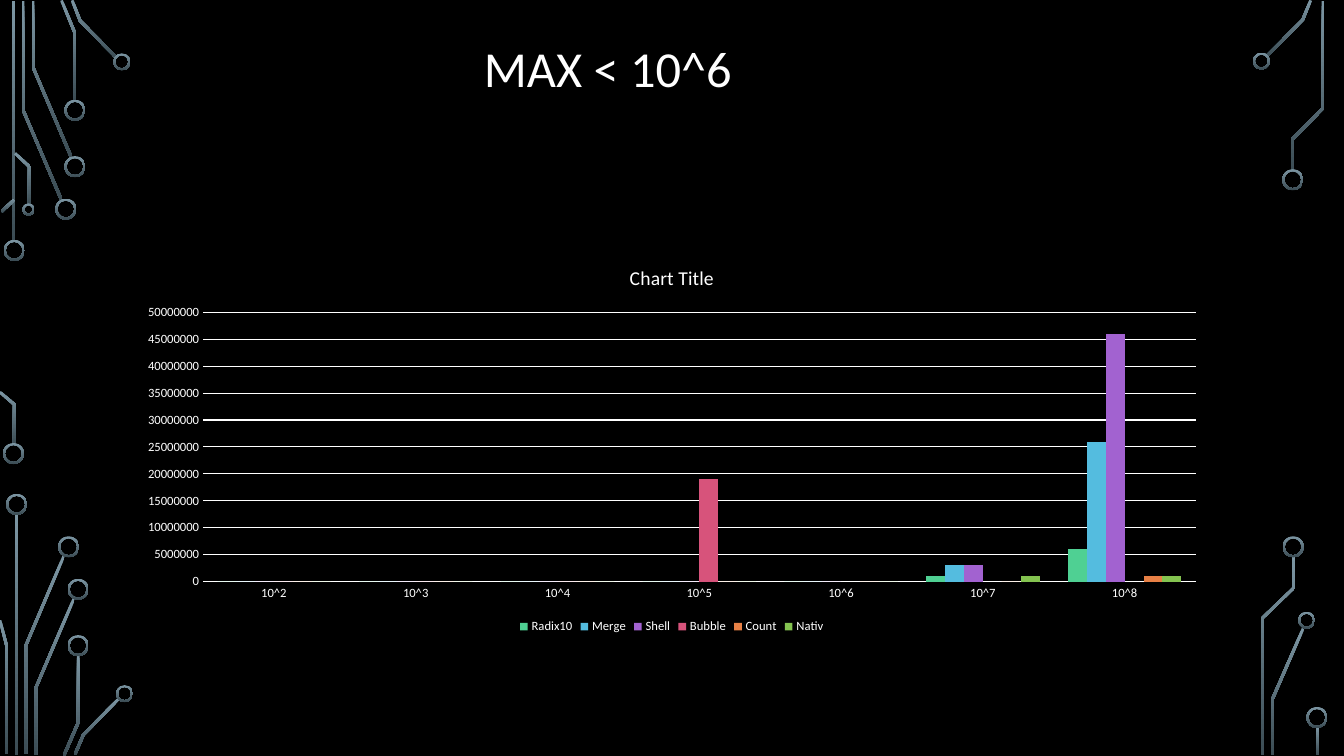
import math
from dataclasses import dataclass

from pptx import Presentation
from pptx.chart.data import CategoryChartData
from pptx.dml.color import RGBColor
from pptx.enum import chart as chart_enum
from pptx.enum import shapes, text
from pptx.util import Cm, Pt


@dataclass(frozen=True)
class Theme:
    font: str = "Calibri"
    background: str = "000000"
    foreground: str = "FFFFFF"
    circuit_top: str = "7C96A3"
    circuit_bottom: str = "3B4C54"
    title_size: int = 36
    chart_title_size: int = 14
    label_size: int = 9


@dataclass(frozen=True)
class Trace:
    """Circuit line through centre points, in cm."""
    points: tuple
    width: float = 0.07


@dataclass(frozen=True)
class Ring:
    """Circuit pad by centre and diameter, in cm."""
    x: float
    y: float
    diameter: float = 0.53
    thickness: float = 0.05


@dataclass(frozen=True)
class Algorithm:
    name: str
    color: str
    times: tuple


THEME = Theme()

TRACES = [Trace(points) for points in (
    # top left
    ((0.34, 0.03), (0.34, 6.1)),
    ((0.58, 0.03), (0.58, 2.77), (1.55, 5.04)),
    ((0.83, 0.03), (0.83, 1.69), (1.8, 3.97)),
    ((1.55, 0.01), (1.89, 0.84), (1.89, 2.54)),
    ((1.82, 0.01), (2.02, 0.52), (2.93, 1.45)),
    ((0.04, 5.33), (0.36, 5.03)),
    ((0, 9.88), (0.36, 10.19), (0.36, 11.2)),
    ((0.38, 3.86), (0.74, 4.2), (0.74, 5.16)),
    # bottom left
    ((0.42, 12.95), (0.42, 19.02)),
    ((1.61, 14.01), (0.65, 16.27), (0.65, 19)),
    ((0, 15.63), (0.17, 16.28), (0.17, 19)),
    ((1.87, 15.07), (0.9, 17.34), (0.9, 19.02)),
    ((1.97, 16.51), (1.97, 18.21), (1.61, 19.04)),
    ((3, 17.6), (2.1, 18.52), (1.89, 19.01)),
    # top right
    ((33.03, 0.01), (32.83, 0.5), (31.93, 1.41)),
    ((33.34, 0.03), (33.34, 2.73), (32.56, 3.52), (32.56, 4.29)),
    # bottom right
    ((32.84, 15.84), (32.07, 17.61), (32.07, 19.02)),
    ((32.6, 14.02), (32.6, 14.82), (31.81, 15.58), (31.81, 19.02)),
    ((33.21, 18.31), (33.21, 19.02)),
)]

RINGS = [
    Ring(0.36, 6.31), Ring(0.34, 11.43), Ring(1.66, 5.27), Ring(1.89, 4.2),
    Ring(1.89, 2.78), Ring(3.07, 1.56, 0.43), Ring(0.72, 5.28, 0.31),
    Ring(0.42, 12.71), Ring(1.73, 13.78), Ring(1.97, 14.85),
    Ring(1.97, 16.27), Ring(3.14, 17.48, 0.43),
    Ring(31.79, 1.54, 0.43), Ring(32.58, 4.53),
    Ring(32.93, 15.63, 0.43), Ring(32.59, 13.78), Ring(33.19, 18.08),
]

CATEGORIES = [f"10^{power}" for power in range(2, 9)]
MILLION = 1_000_000
ALGORITHMS = [
    Algorithm("Radix10", "4FD093", (0, 0, 0, 0, 0, 1, 6)),
    Algorithm("Merge", "54BCDF", (0, 0, 0, 0, 0, 3, 26)),
    Algorithm("Shell", "A262D0", (0, 0, 0, 0, 0, 3, 46)),
    Algorithm("Bubble", "D7537B", (0, 0, 0, 19, None, None, None)),
    Algorithm("Count", "E78045", (0, 0, 0, 0, 0, 0, 1)),
    Algorithm("Nativ", "84C350", (0, 0, 0, 0, 0, 1, 1)),
]


def rgb(value: str) -> RGBColor:
    return RGBColor.from_string(value)


def style_font(font, size: int) -> None:
    font.name = THEME.font
    font.size = Pt(size)
    font.bold = False
    font.color.rgb = rgb(THEME.foreground)


def style_circuit(shape) -> None:
    """Vertical gradient, without outline or shadow."""
    shape.shadow.inherit = False
    shape.line.fill.background()
    shape.fill.gradient()
    shape.fill.gradient_angle = 270
    colors = (THEME.circuit_top, THEME.circuit_bottom)
    for stop, color in zip(shape.fill.gradient_stops, colors):
        stop.color.rgb = rgb(color)


def trace_outline(trace: Trace) -> list:
    """Widen the centre line into a closed outline with mitred corners."""
    points = trace.points
    normals = []
    for (x1, y1), (x2, y2) in zip(points, points[1:]):
        length = math.hypot(x2 - x1, y2 - y1)
        normals.append(((y1 - y2) / length, (x2 - x1) / length))
    left, right = [], []
    corners = zip(points, normals[:1] + normals, normals + normals[-1:])
    for (x, y), (ax, ay), (bx, by) in corners:
        reach = trace.width / 2 / (1 + ax * bx + ay * by)
        dx, dy = (ax + bx) * reach, (ay + by) * reach
        left.append((Cm(x + dx), Cm(y + dy)))
        right.append((Cm(x - dx), Cm(y - dy)))
    return left + right[::-1]


def draw_trace(slide, trace: Trace) -> None:
    start, *others = trace_outline(trace)
    builder = slide.shapes.build_freeform(*start)
    builder.add_line_segments(others, close=True)
    style_circuit(builder.convert_to_shape())


def draw_ring(slide, ring: Ring) -> None:
    radius = ring.diameter / 2
    shape = slide.shapes.add_shape(
        shapes.MSO_SHAPE.DONUT, Cm(ring.x - radius), Cm(ring.y - radius),
        Cm(ring.diameter), Cm(ring.diameter))
    shape.adjustments[0] = ring.thickness / ring.diameter
    style_circuit(shape)


def fill_title(slide) -> None:
    title = slide.shapes.title
    title.left, title.top = Cm(11.94), Cm(-0.25)
    title.width, title.height = Cm(27.5), Cm(4.11)
    title.text_frame.text = "MAX < 10^6"
    title.text_frame.vertical_anchor = text.MSO_ANCHOR.MIDDLE
    paragraph = title.text_frame.paragraphs[0]
    paragraph.alignment = text.PP_ALIGN.LEFT
    paragraph.line_spacing = 0.9
    style_font(paragraph.font, THEME.title_size)


def draw_chart(slide) -> None:
    data = CategoryChartData()
    data.categories = CATEGORIES
    for algorithm in ALGORITHMS:
        data.add_series(algorithm.name, [
            None if time is None else time * MILLION for time in algorithm.times])
    chart = slide.shapes.add_chart(
        chart_enum.XL_CHART_TYPE.COLUMN_CLUSTERED,
        Cm(3.18), Cm(6.25), Cm(27.5), Cm(9.83), data).chart
    style_font(chart.font, THEME.label_size)

    chart.has_title = True
    chart.chart_title.text_frame.text = "Chart Title"
    heading = chart.chart_title.text_frame.paragraphs[0]
    style_font(heading.font, THEME.chart_title_size)

    chart.has_legend = True
    chart.legend.position = chart_enum.XL_LEGEND_POSITION.BOTTOM
    chart.legend.include_in_layout = False
    style_font(chart.legend.font, THEME.label_size)

    for axis in (chart.category_axis, chart.value_axis):
        axis.major_tick_mark = chart_enum.XL_TICK_MARK.NONE
        axis.format.line.fill.background()
        style_font(axis.tick_labels.font, THEME.label_size)
    value_axis = chart.value_axis
    value_axis.minimum_scale, value_axis.maximum_scale = 0, 50 * MILLION
    value_axis.major_unit = 5 * MILLION
    gridline = value_axis.major_gridlines.format.line
    gridline.color.rgb = rgb(THEME.foreground)
    gridline.width = Pt(0.75)

    plot = chart.plots[0]
    plot.gap_width, plot.overlap = 150, 0
    plot.vary_by_categories = False
    for series, algorithm in zip(plot.series, ALGORITHMS):
        series.format.fill.solid()
        series.format.fill.fore_color.rgb = rgb(algorithm.color)


def main() -> None:
    presentation = Presentation()
    presentation.slide_width, presentation.slide_height = Cm(33.87), Cm(19.05)
    slide = presentation.slides.add_slide(presentation.slide_layouts[5])
    slide.background.fill.solid()
    slide.background.fill.fore_color.rgb = rgb(THEME.background)
    for trace in TRACES:
        draw_trace(slide, trace)
    for ring in RINGS:
        draw_ring(slide, ring)
    fill_title(slide)
    draw_chart(slide)
    presentation.save("out.pptx")


if __name__ == "__main__":
    main()
